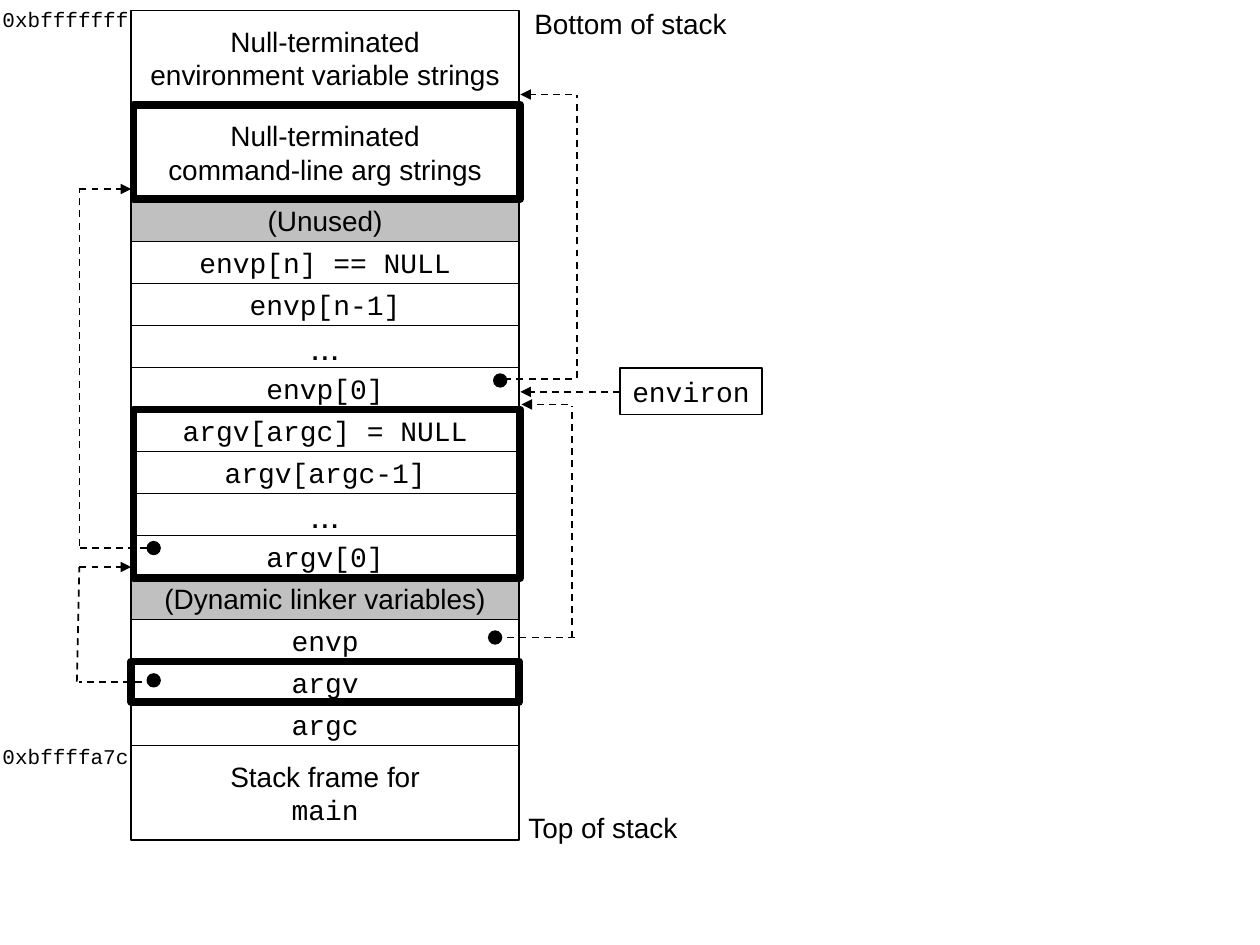
"""Draw the layout of a process stack at program start."""
from dataclasses import dataclass
from typing import Optional

from lxml.etree import SubElement
from pptx import Presentation
from pptx.dml.color import RGBColor
from pptx.enum.dml import MSO_LINE
from pptx.enum.shapes import MSO_CONNECTOR, MSO_SHAPE
from pptx.enum.text import MSO_ANCHOR, MSO_AUTO_SIZE, PP_ALIGN
from pptx.oxml.ns import qn
from pptx.util import Inches, Pt

COLUMNS, ROWS = 100, 75
WIDTH, HEIGHT = Inches(10), Inches(7.5)
COLORS = {"ink": "000000", "paper": "FFFFFF", "shade": "C0C0C0"}
SANS, MONO = "Arial", "Courier New"
STACK_LEFT, STACK_TOP, STACK_WIDTH = 10.4, 0.83, 30.8
SHORT, TALL = 10 / 3, 7.5
DOT = 1


@dataclass
class Cell:
    lines: list[str]
    fonts: tuple[str, ...] = (MONO,)
    size: int = 16
    height: float = SHORT
    fill: Optional[str] = "paper"


@dataclass
class Label:
    text: str
    left: float
    top: float
    width: float
    height: float
    font: str = SANS
    size: int = 16


@dataclass
class Link:
    start: tuple[float, float]
    end: tuple[float, float]
    arrow: bool = False


@dataclass
class Frame:
    left: float
    top: float
    width: float
    height: float


ELLIPSIS = Cell(["..."], (SANS,), 20, fill=None)
CELLS = [
    Cell(["Null-terminated", "environment variable strings"], (SANS, SANS), height=TALL, fill=None),
    Cell(["Null-terminated", "command-line arg strings"], (SANS, SANS), height=TALL, fill=None),
    Cell(["(Unused)"], (SANS,), fill="shade"),
    Cell(["envp[n] == NULL"]),
    Cell(["envp[n-1]"]),
    ELLIPSIS,
    Cell(["envp[0]"]),
    Cell(["argv[argc] = NULL"]),
    Cell(["argv[argc-1]"]),
    ELLIPSIS,
    Cell(["argv[0]"]),
    Cell(["(Dynamic linker variables)"], (SANS,), fill="shade"),
    Cell(["envp"]),
    Cell(["argv"]),
    Cell(["argc"]),
    Cell(["Stack frame for", "main"], (SANS, MONO), height=TALL, fill=None),
]
LABELS = [
    Label("0xbfffffff", -0.8, 0, 12, 3, MONO, 12),
    Label("0xbffffa7c", -0.8, 58.5, 12, 3, MONO, 12),
    Label("Bottom of stack", 41.4, 0, 17.3, 3.7),
    Label("Top of stack", 40.8, 63.8, 14.1, 3.7),
]
ENVIRON = Label("environ", 49.2, 29.2, 11.3, 3.7, MONO)
LINKS = [
    Link((49.2, 31.1), (41.3, 31.1), True),
    Link((11.3, 54.1), (6.3, 54.1)),
    Link((6.1, 54.1), (6.3, 45)),
    Link((6.3, 45), (10.4, 45), True),
    Link((11.7, 43.5), (6.2, 43.5)),
    Link((6.3, 43.3), (6.3, 15)),
    Link((6.3, 15), (10.4, 15), True),
    Link((45.4, 30.1), (40, 30.1)),
    Link((45.8, 30), (45.8, 7.5)),
    Link((45.4, 7.5), (41.3, 7.5), True),
    Link((39.3, 50.6), (45.6, 50.6)),
    Link((45.4, 50.6), (45.4, 32.2)),
    Link((45.1, 32.1), (41.4, 32.1), True),
]
FRAMES = [
    Frame(10.4, 52.5, 30.8, 3.2),
    Frame(10.6, 32.5, 30.7, 13.4),
    Frame(10.6, 8.3, 30.7, TALL),
]
DOTS = [(11.7, 43), (11.7, 53.5), (39.2, 29.7), (38.8, 50.1)]


def across(columns: float) -> int:
    return round(WIDTH * columns / COLUMNS)


def down(rows: float) -> int:
    return round(HEIGHT * rows / ROWS)


def color(name: str) -> RGBColor:
    return RGBColor.from_string(COLORS[name])


def add_box(page, left: float, top: float, width: float, height: float, *,
            kind=MSO_SHAPE.RECTANGLE, fill: Optional[str] = None, weight: float = 1):
    box = page.shapes.add_shape(kind, across(left), down(top), across(width), down(height))
    box.shadow.inherit = False
    if fill:
        box.fill.solid()
        box.fill.fore_color.rgb = color(fill)
    else:
        box.fill.background()
    box.line.color.rgb = color("ink")
    box.line.width = Pt(weight)
    return box


def write(box, lines: list[str], *, fonts: tuple[str, ...], size: int = 16,
          align=PP_ALIGN.CENTER, grow: bool = False) -> None:
    frame = box.text_frame
    frame.word_wrap = False
    frame.vertical_anchor = MSO_ANCHOR.MIDDLE
    frame.auto_size = MSO_AUTO_SIZE.SHAPE_TO_FIT_TEXT if grow else MSO_AUTO_SIZE.NONE
    for index, (text, font) in enumerate(zip(lines, fonts)):
        para = frame.add_paragraph() if index else frame.paragraphs[0]
        para.alignment = align
        span = para.add_run()
        span.text = text
        span.font.name = font
        span.font.size = Pt(size)
        span.font.color.rgb = color("ink")


def add_stack(page, cells: list[Cell]) -> None:
    top = STACK_TOP
    for cell in cells:
        box = add_box(page, STACK_LEFT, top, STACK_WIDTH, cell.height, fill=cell.fill)
        write(box, cell.lines, fonts=cell.fonts, size=cell.size)
        top += cell.height


def add_label(page, label: Label) -> None:
    box = page.shapes.add_textbox(across(label.left), down(label.top),
                                  across(label.width), down(label.height))
    write(box, [label.text], fonts=(label.font,), size=label.size, grow=True)


def add_link(page, link: Link) -> None:
    (left, top), (right, bottom) = link.start, link.end
    line = page.shapes.add_connector(MSO_CONNECTOR.STRAIGHT, across(left), down(top),
                                     across(right), down(bottom))
    line.line.color.rgb = color("ink")
    line.line.width = Pt(1)
    line.line.dash_style = MSO_LINE.DASH
    properties = line._element.spPr
    if link.arrow:
        SubElement(properties.find(qn("a:ln")), qn("a:tailEnd"), type="triangle")
    SubElement(properties, qn("a:effectLst"))


def main() -> None:
    deck = Presentation()
    deck.slide_width, deck.slide_height = WIDTH, HEIGHT
    page = deck.slides.add_slide(deck.slide_layouts[6])
    add_stack(page, CELLS)
    for label in LABELS:
        add_label(page, label)
    environ = add_box(page, ENVIRON.left, ENVIRON.top, ENVIRON.width, ENVIRON.height)
    write(environ, [ENVIRON.text], fonts=(ENVIRON.font,), align=PP_ALIGN.LEFT, grow=True)
    for link in LINKS:
        add_link(page, link)
    for frame in FRAMES:
        add_box(page, frame.left, frame.top, frame.width, frame.height, weight=4.5)
    for left, top in DOTS:
        add_box(page, left, top, DOT, DOT, kind=MSO_SHAPE.OVAL, fill="ink")
    deck.save("out.pptx")


if __name__ == "__main__":
    main()
